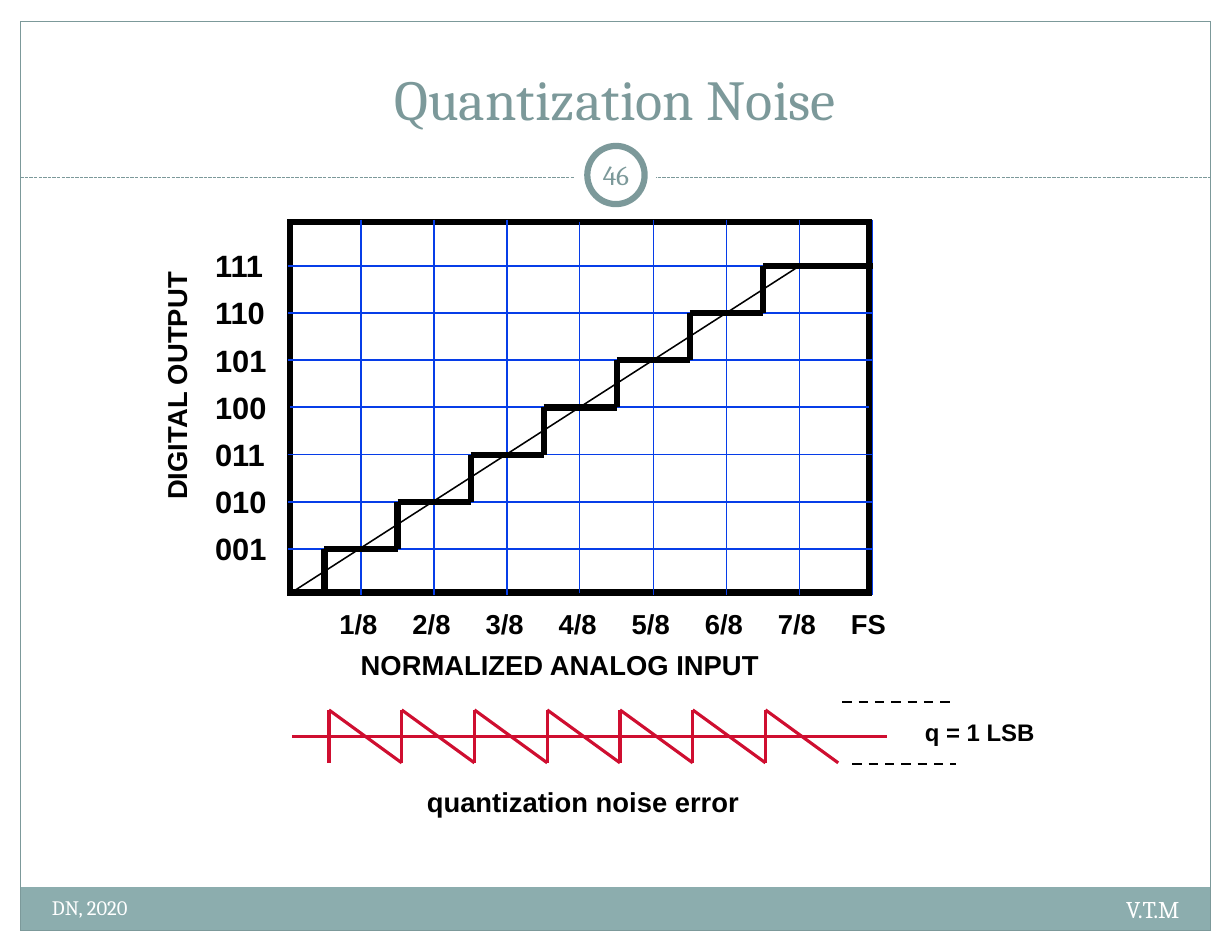
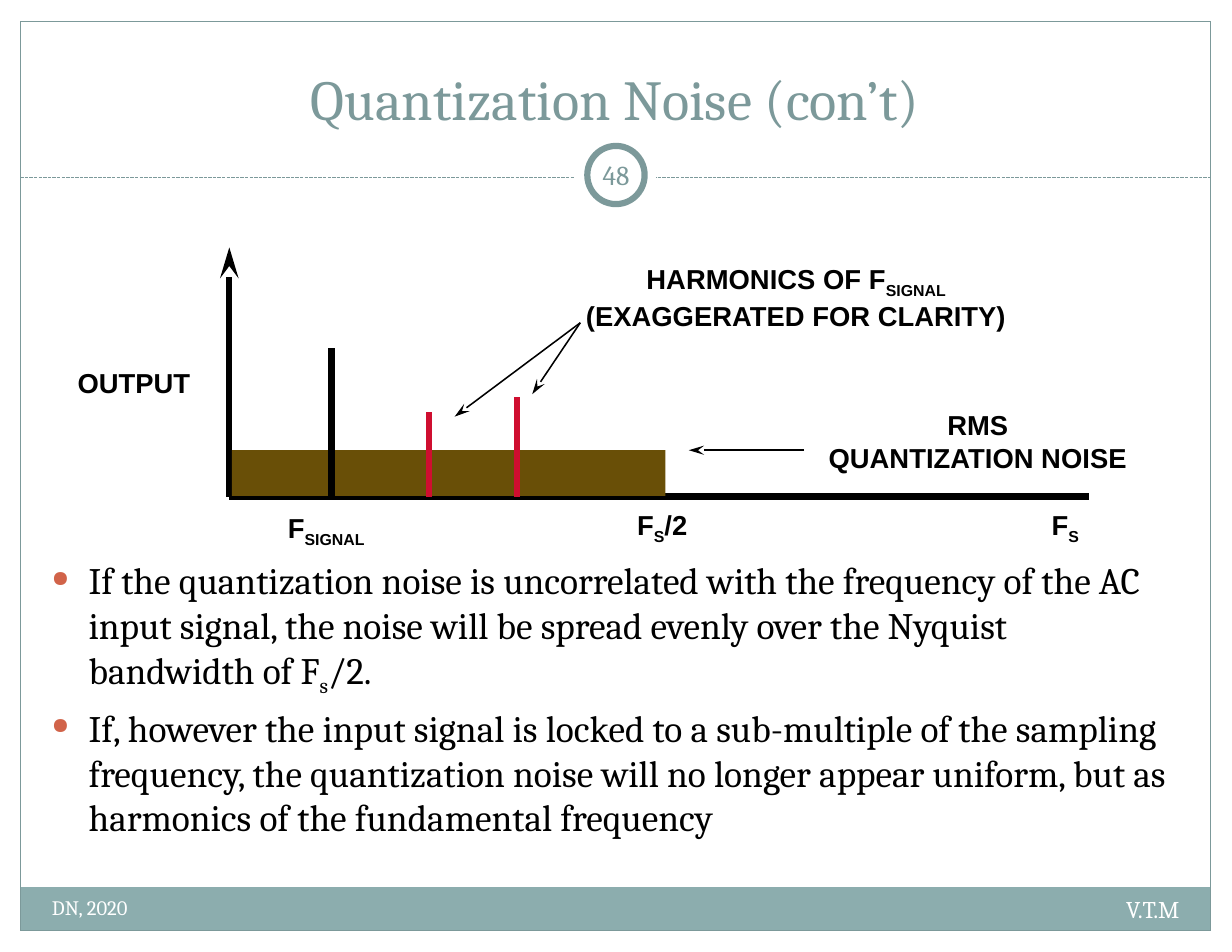
from dataclasses import dataclass
from typing import Optional

from lxml import etree
from pptx import Presentation
from pptx import util as u
from pptx.dml.color import RGBColor
from pptx.enum import dml, shapes, text
from pptx.oxml import ns

Cm, Pt = u.Cm, u.Pt
ALIGN, ANCHOR = text.PP_ALIGN, text.MSO_ANCHOR


@dataclass(frozen=True)
class Theme:
    """Colours, fonts and type sizes shared by the slides."""
    slate: str = "7C999A"
    band: str = "8CADAE"
    white: str = "FFFFFF"
    black: str = "000000"
    grid: str = "063DE8"
    red: str = "CF0E30"
    noise: str = "694F07"
    bullet: str = "D16349"
    serif: str = "Cambria"
    sans: str = "Arial"
    title: float = 36.3
    body: float = 24
    code: float = 19.8
    label: float = 17.6
    small: float = 15.4
    date: float = 13.2


THEME = Theme()


@dataclass(frozen=True)
class Box:
    """Rectangular place on the slide, in centimetres."""
    left: float
    top: float
    width: float
    height: float

    def lengths(self) -> list:
        return [Cm(value) for value in (self.left, self.top, self.width, self.height)]


@dataclass(frozen=True)
class Label:
    """Text in a box; newlines part paragraphs, ~ marks enclose subscripts."""
    content: str
    box: Box
    size: float = THEME.label
    font: str = THEME.sans
    color: str = THEME.black
    bold: bool = True
    align: ALIGN = ALIGN.LEFT
    anchor: ANCHOR = ANCHOR.TOP
    wrap: bool = False
    insets: tuple = (0.28, 0.15, 0.28, 0.15)
    rotation: float = 0
    bullets: bool = False


@dataclass(frozen=True)
class Line:
    """Straight line between two points, in centimetres."""
    start: tuple
    end: tuple
    color: str = THEME.black
    width: float = 4
    dash: Optional[dml.MSO_LINE] = None
    arrow: str = ""


def add_bullet(paragraph) -> None:
    properties = paragraph._p.get_or_add_pPr()
    properties.set("marL", str(Cm(0.84)))
    properties.set("indent", str(-Cm(0.84)))
    color = etree.SubElement(properties, ns.qn("a:buClr"))
    etree.SubElement(color, ns.qn("a:srgbClr"), val=THEME.bullet)
    etree.SubElement(properties, ns.qn("a:buSzPct"), val="60000")
    etree.SubElement(properties, ns.qn("a:buChar"), char="●")


def draw_label(slide, label: Label):
    shape = slide.shapes.add_textbox(*label.box.lengths())
    shape.rotation = label.rotation
    frame = shape.text_frame
    left, top, right, bottom = (Cm(inset) for inset in label.insets)
    frame_format = {
        "word_wrap": label.wrap,
        "vertical_anchor": label.anchor,
        "auto_size": text.MSO_AUTO_SIZE.NONE if label.wrap
        else text.MSO_AUTO_SIZE.SHAPE_TO_FIT_TEXT,
        "margin_left": left, "margin_top": top,
        "margin_right": right, "margin_bottom": bottom,
    }
    for name, value in frame_format.items():
        setattr(frame, name, value)
    font_format = {"name": label.font, "size": Pt(label.size), "bold": label.bold}
    for index, content in enumerate(label.content.split("\n")):
        paragraph = frame.add_paragraph() if index else frame.paragraphs[0]
        paragraph.alignment = label.align
        if label.bullets:
            if index:
                paragraph.space_before = Pt(4.5)
            add_bullet(paragraph)
        for position, piece in enumerate(content.split("~")):
            if not piece:
                continue
            run = paragraph.add_run()
            run.text = piece
            for name, value in font_format.items():
                setattr(run.font, name, value)
            run.font.color.rgb = RGBColor.from_string(label.color)
            if position % 2:
                run._r.get_or_add_rPr().set("baseline", "-25000")
    return shape


def draw_line(slide, line: Line):
    points = [Cm(value) for value in (*line.start, *line.end)]
    connector = slide.shapes.add_connector(shapes.MSO_CONNECTOR.STRAIGHT, *points)
    connector.line.color.rgb = RGBColor.from_string(line.color)
    connector.line.width = Pt(line.width)
    if line.dash:
        connector.line.dash_style = line.dash
    if line.arrow:
        outline = connector.line._get_or_add_ln()
        etree.SubElement(outline, ns.qn(f"a:{line.arrow}"), type="stealth", len="lg")
    etree.SubElement(connector._element.spPr, ns.qn("a:effectLst"))
    return connector


def draw_shape(slide, box: Box, kind=shapes.MSO_SHAPE.RECTANGLE,
               fill: str = "", line: str = "", width: float = 4):
    shape = slide.shapes.add_shape(kind, *box.lengths())
    shape.shadow.inherit = False
    if fill:
        shape.fill.solid()
        shape.fill.fore_color.rgb = RGBColor.from_string(fill)
    else:
        shape.fill.background()
    if line:
        shape.line.color.rgb = RGBColor.from_string(line)
        shape.line.width = Pt(width)
        etree.SubElement(shape.line._get_or_add_ln(), ns.qn("a:miter"), lim="800000")
    else:
        shape.line.fill.background()
    return shape


def add_slide(presentation, title: str, number: int):
    """Add a blank slide with frame, title, page ring and footer."""
    slide = presentation.slides.add_slide(presentation.slide_layouts[6])
    oval = shapes.MSO_SHAPE.OVAL
    for margin in (Box(0, 0, 27.94, 4.39), Box(0, 0, 0.46, 21.59),
                   Box(27.48, 0, 0.46, 21.59)):
        draw_shape(slide, margin, fill=THEME.white)
    draw_shape(slide, Box(0.46, 20.12, 27, 0.97), fill=THEME.band)
    draw_shape(slide, Box(0.46, 0.48, 27, 20.62), line=THEME.slate, width=0.75)
    draw_line(slide, Line((0.46, 4.02), (27.46, 4.02), THEME.slate, 0.75,
                          dml.MSO_LINE.SQUARE_DOT))
    draw_shape(slide, Box(13.03, 3, 1.85, 1.93), oval, fill=THEME.white)
    draw_shape(slide, Box(13.32, 3.31, 1.3, 1.32), oval, THEME.white, THEME.slate)

    serif = {"font": THEME.serif, "bold": False, "wrap": True}
    plain = {**serif, "insets": (0.25, 0.13, 0.25, 0.13)}
    for label in (
        Label(title, Box(0.91, 0.72, 26.09, 2.39), THEME.title, color=THEME.slate,
              align=ALIGN.CENTER, anchor=ANCHOR.BOTTOM, **plain),
        Label(str(number), Box(13.27, 3.27, 1.4, 1.4), color=THEME.slate,
              align=ALIGN.CENTER, anchor=ANCHOR.MIDDLE, insets=(0.13,) * 4, **serif),
        Label("V.T.M", Box(17.7, 20.15, 9.3, 1.14), THEME.small, color=THEME.white,
              align=ALIGN.RIGHT, **plain),
        Label("DN, 2020", Box(0.93, 20.17, 10.95, 1.14), THEME.date,
              color=THEME.white, **plain),
    ):
        draw_label(slide, label)
    return slide


def draw_transfer_curve(slide) -> None:
    """Staircase of a three-bit converter on its grid."""
    left, right, top, bottom = 6.53, 19.79, 4.98, 13.49
    steps = range(1, 8)
    column = (right - left) / 8

    def input_x(eighths: float) -> float:
        return left + column * eighths

    def output_y(code: int) -> float:
        return 6.03 + 1.07 * (7 - code) if code else bottom

    # Grid; its middle lines are joined to the frame
    frame = draw_shape(slide, Box(6.58, 5.03, 13.13, 8.41),
                       fill=THEME.white, line=THEME.black)
    for step in range(1, 9):
        x = input_x(step)
        vertical = draw_line(slide, Line((x, top), (x, bottom), THEME.grid, 1))
        if step == 4:
            vertical.begin_connect(frame, 0)
            vertical.end_connect(frame, 2)
    for step in steps:
        y = output_y(step)
        horizontal = draw_line(slide, Line((left, y), (right, y), THEME.grid, 1))
        if step == 4:
            horizontal.begin_connect(frame, 1)
            horizontal.end_connect(frame, 3)

    # Risers, treads and the ideal line
    for step in steps:
        x, y = input_x(step - 0.5), output_y(step)
        tread_end = right if step == 7 else input_x(step + 0.5)
        draw_line(slide, Line((x, output_y(step - 1)), (x, y)))
        draw_line(slide, Line((x, y), (tread_end, y)))
    draw_line(slide, Line((left, bottom), (input_x(7), output_y(7)), width=1))

    # Scales and axis names
    for step in steps:
        draw_label(slide, Label(f"{step:03b}", Box(4.6, output_y(step) - 0.58, 1.75, 1.14),
                                THEME.code))
    for step in range(1, 9):
        name = "FS" if step == 8 else f"{step}/8"
        draw_label(slide, Label(name, Box(input_x(step) - 0.77, 13.61, 1.5, 1.04)))
    draw_label(slide, Label("NORMALIZED ANALOG INPUT", Box(7.9, 14.55, 9.68, 1.04)))
    draw_label(slide, Label("DIGITAL OUTPUT", Box(1.1, 8.2, 5.79, 1.04), rotation=270))


def draw_noise_error(slide) -> None:
    """Sawtooth error with its height of one LSB."""
    first, tooth, peak, valley = 7.46, 1.65, 16.1, 17.3
    for index in range(7):
        x = first + tooth * index
        for end_x in (x, x + tooth):
            draw_line(slide, Line((x, peak), (end_x, valley), THEME.red, 2))
    draw_line(slide, Line((6.63, 16.71), (20.12, 16.71), THEME.red, 2))
    for start_x, end_x, y in ((19.1, 21.67, 15.92), (19.33, 21.69, 17.32)):
        draw_line(slide, Line((start_x, y), (end_x, y), width=1.5,
                              dash=dml.MSO_LINE.DASH))
    draw_label(slide, Label("quantization noise error", Box(9.4, 17.65, 7.7, 1.04)))
    draw_label(slide, Label("q = 1 LSB", Box(20.71, 16.15, 3.02, 0.91), THEME.small,
                            align=ALIGN.CENTER, insets=(0.25, 0.13, 0.25, 0.13)))


def draw_spectrum(slide) -> None:
    """Output spectrum: noise floor, signal and harmonics."""
    origin_x, base = 5.2, 11.26
    draw_line(slide, Line((origin_x, 5.61), (origin_x, base), arrow="headEnd"))
    draw_line(slide, Line((origin_x, base), (24.69, base)))
    draw_shape(slide, Box(5.26, 10.21, 9.83, 1.04), fill=THEME.noise)
    for x, peak, color in ((7.52, 7.9, THEME.black), (9.73, 9.35, THEME.red),
                           (11.72, 9, THEME.red)):
        draw_line(slide, Line((x, base), (x, peak), color))

    # Pointers
    for start, end in (((18.24, 10.21), (15.62, 10.21)),
                       ((13.16, 7.32), (10.31, 9.45)),
                       ((13.16, 7.32), (12.07, 8.94))):
        draw_line(slide, Line(start, end, width=1, arrow="tailEnd"))

    for label in (
        Label("OUTPUT", Box(1.48, 8.16, 3.15, 1.04)),
        Label("F~SIGNAL~", Box(6.25, 11.44, 2.54, 1.04)),
        Label("F~S~/2", Box(14.17, 11.38, 1.75, 1.04)),
        Label("F~S~", Box(23.57, 11.38, 1.22, 1.04)),
        Label("RMS\nQUANTIZATION NOISE", Box(18.48, 9.1, 7.39, 1.78),
              align=ALIGN.CENTER),
        Label("HARMONICS OF F~SIGNAL~\n(EXAGGERATED FOR CLARITY)",
              Box(12.96, 5.79, 10.19, 1.78), align=ALIGN.CENTER),
    ):
        draw_label(slide, label)


def main() -> None:
    presentation = Presentation()
    presentation.slide_width, presentation.slide_height = Cm(27.94), Cm(21.59)

    # Transfer curve and its error
    slide = add_slide(presentation, "Quantization Noise", 46)
    draw_transfer_curve(slide)
    draw_noise_error(slide)

    # Noise in the spectrum
    slide = add_slide(presentation, "Quantization Noise (con’t)", 48)
    draw_spectrum(slide)
    draw_label(slide, Label(
        "If the quantization noise is uncorrelated with the frequency of the AC input "
        "signal, the noise will be spread evenly over the Nyquist bandwidth of F~s~/2.\n"
        "If, however the input signal is locked to a sub-multiple of the sampling "
        "frequency, the quantization noise will no longer appear uniform, but as "
        "harmonics of the fundamental frequency",
        Box(0.92, 12.54, 25.98, 6.65), THEME.body, THEME.serif, bold=False,
        wrap=True, insets=(0.25, 0.1, 0.25, 0), bullets=True))

    presentation.save("out.pptx")


if __name__ == "__main__":
    main()
